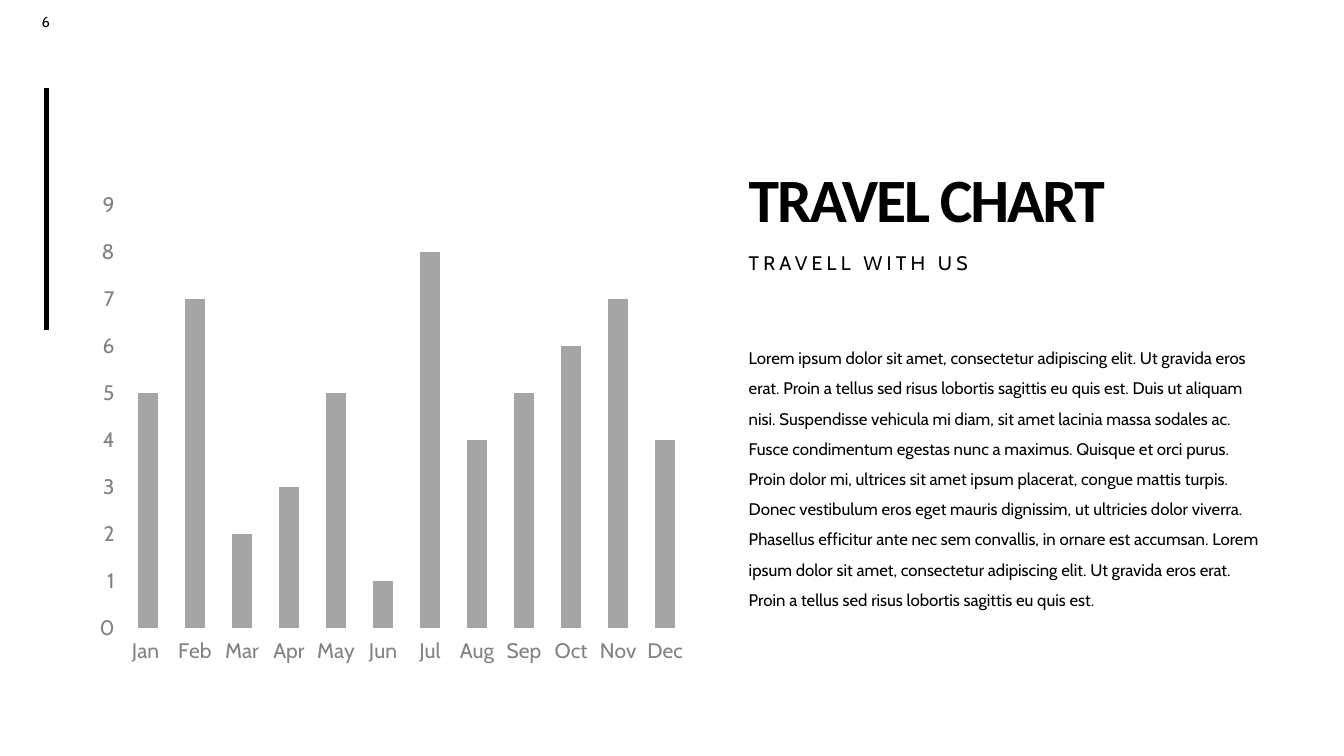
import pptx
import pptx.util
import pptx.chart.data
import pptx.dml.color
import pptx.enum.chart
import pptx.enum.shapes
import pptx.enum.text
import pptx.oxml.ns
import pptx.oxml.xmlchemy
from dataclasses import dataclass

Cm, Pt = pptx.util.Cm, pptx.util.Pt
qn = pptx.oxml.ns.qn
OxmlElement = pptx.oxml.xmlchemy.OxmlElement

# Content
PAGE_NUMBER = "6"
TITLE = "TRAVEL CHART"
SUBTITLE = "TRAVELL WITH US"
BODY = (
    "Lorem ipsum dolor sit amet, consectetur adipiscing elit. Ut gravida eros erat. "
    "Proin a tellus sed risus lobortis sagittis eu quis est. Duis ut aliquam nisi. "
    "Suspendisse vehicula mi diam, sit amet lacinia massa sodales ac. "
    "Fusce condimentum egestas nunc a maximus. Quisque et orci purus. "
    "Proin dolor mi, ultrices sit amet ipsum placerat, congue mattis turpis. "
    "Donec vestibulum eros eget mauris dignissim, ut ultricies dolor viverra. "
    "Phasellus efficitur ante nec sem convallis, in ornare est accumsan. "
    "Lorem ipsum dolor sit amet, consectetur adipiscing elit. Ut gravida eros erat. "
    "Proin a tellus sed risus lobortis sagittis eu quis est."
)
SERIES = "Series 1"
TRIPS = [("Jan ", 5), ("Feb", 7), ("Mar", 2), ("Apr", 3), ("May", 5), ("Jun", 1),
         ("Jul", 8), ("Aug", 4), ("Sep", 5), ("Oct", 6), ("Nov", 7), ("Dec", 4)]
AXIS_MAX = 9
PLOT = {"x": 0.07, "y": 0.07, "w": 0.9, "h": 0.83}  # shares of the chart frame


@dataclass(frozen=True)
class Theme:
    ink: str = "000000"
    bar: str = "A5A5A5"
    chart_text: str = "3F3F3F"
    axis_text: str = "828282"
    heading: str = "Calibri"
    text: str = "Cabin"
    title_size: float = 44
    subtitle_size: float = 14
    body_size: float = 12
    number_size: float = 10.5
    axis_size: float = 15


THEME = Theme()

# Right-hand text column, in cm
COLUMN_LEFT, COLUMN_WIDTH = 18.87, 13.23
COLUMN_INSETS = (0, 0.13, 0.25, 0.13)
NUMBER_INSETS = (0.25, 0.13, 0.25, 0.13)


def rgb(value):
    return pptx.dml.color.RGBColor.from_string(value)


def style_font(font, name, size, color, bold=False):
    font.name, font.size, font.bold = name, Pt(size), bold
    font.color.rgb = rgb(color)


def add_text(s, box, text, size, name=THEME.text, bold=False, spacing=0, line=1.0,
             insets=COLUMN_INSETS, align=pptx.enum.text.PP_ALIGN.LEFT,
             anchor=pptx.enum.text.MSO_ANCHOR.TOP):
    tf = s.shapes.add_textbox(*map(Cm, box)).text_frame
    tf.word_wrap, tf.vertical_anchor = True, anchor
    tf.margin_left, tf.margin_top, tf.margin_right, tf.margin_bottom = map(Cm, insets)
    p = tf.paragraphs[0]
    p.alignment, p.line_spacing = align, line
    r = p.add_run()
    r.text = text
    style_font(p.font, name, size, THEME.ink, bold)
    if spacing:
        r._r.get_or_add_rPr().set("spc", str(int(spacing * 100)))


def add_accent_line(s):
    c = s.shapes.add_connector(pptx.enum.shapes.MSO_CONNECTOR.STRAIGHT,
                               Cm(1.17), Cm(8.31), Cm(1.17), Cm(2.21))
    c.line.color.rgb, c.line.width = rgb(THEME.ink), Pt(3)
    c._element.spPr.append(OxmlElement("a:effectLst"))


def set_plot_layout(chart):
    area = chart._chartSpace.find(qn("c:chart")).find(qn("c:plotArea"))
    for old in area.findall(qn("c:layout")):
        area.remove(old)
    layout = OxmlElement("c:layout")
    manual = OxmlElement("c:manualLayout")
    layout.append(manual)
    settings = [("layoutTarget", "inner"), ("xMode", "edge"), ("yMode", "edge"), *PLOT.items()]
    for tag, value in settings:
        item = OxmlElement(f"c:{tag}")
        item.set("val", str(value))
        manual.append(item)
    area.insert(0, layout)


def add_travel_chart(s):
    data = pptx.chart.data.CategoryChartData(number_format="General")
    data.categories = [month for month, _ in TRIPS]
    data.add_series(SERIES, [value for _, value in TRIPS])
    frame = s.shapes.add_chart(pptx.enum.chart.XL_CHART_TYPE.COLUMN_CLUSTERED,
                               Cm(2.03), Cm(4.27), Cm(15.8), Cm(12.85), data)
    chart = frame.chart
    chart.has_title = chart.has_legend = False
    style_font(chart.font, THEME.text, THEME.axis_size, THEME.chart_text)

    # Bars
    plot = chart.plots[0]
    plot.gap_width, plot.vary_by_categories = 129, False
    fill = plot.series[0].format.fill
    fill.solid()
    fill.fore_color.rgb = rgb(THEME.bar)

    # Axes
    for axis in (chart.category_axis, chart.value_axis):
        axis.has_major_gridlines = False
        axis.format.line.fill.background()
        style_font(axis.tick_labels.font, THEME.text, THEME.axis_size, THEME.axis_text)
    chart.value_axis.minimum_scale = 0
    chart.value_axis.maximum_scale = AXIS_MAX
    chart.value_axis.major_unit = 1
    set_plot_layout(chart)


def main():
    prs = pptx.Presentation()
    prs.slide_width, prs.slide_height = Cm(33.87), Cm(19.05)
    s = prs.slides.add_slide(prs.slide_layouts[6])

    # Page furniture
    add_accent_line(s)
    add_text(s, (0.43, 0.2, 1.45, 0.69), PAGE_NUMBER, THEME.number_size,
             insets=NUMBER_INSETS, align=pptx.enum.text.PP_ALIGN.CENTER)

    # Chart on the left
    add_travel_chart(s)

    # Text column on the right
    add_text(s, (COLUMN_LEFT, 2.34, COLUMN_WIDTH, 3.73), TITLE, THEME.title_size,
             name=THEME.heading, bold=True, spacing=-1.5, line=0.9,
             anchor=pptx.enum.text.MSO_ANCHOR.BOTTOM)
    add_text(s, (COLUMN_LEFT, 6.25, COLUMN_WIDTH, 1.68), SUBTITLE, THEME.subtitle_size,
             spacing=3, line=0.9)
    add_text(s, (COLUMN_LEFT, 8.38, COLUMN_WIDTH, 8.61), BODY, THEME.body_size, line=1.5)

    prs.save("out.pptx")


if __name__ == "__main__":
    main()
